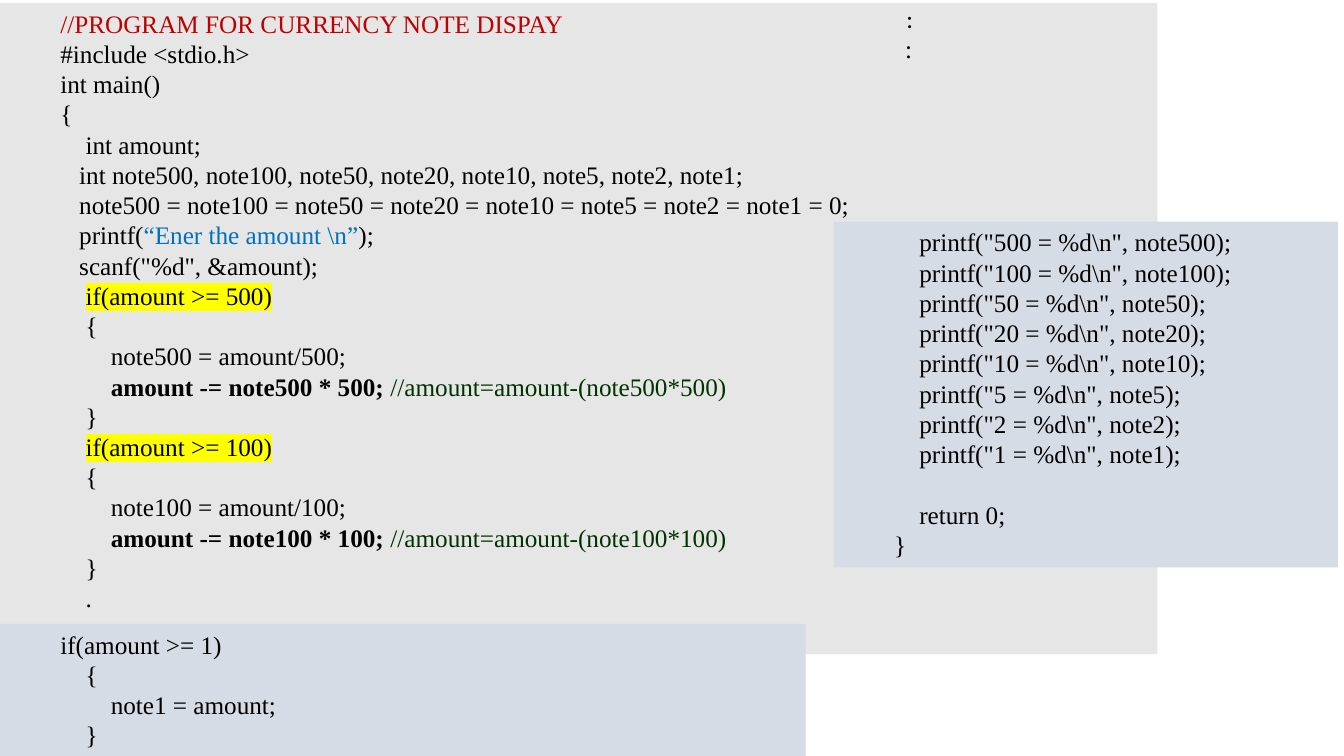
from lxml import etree
from pptx import Presentation
from pptx.dml.color import RGBColor
from pptx.enum import shapes, text
from pptx.oxml import ns
from pptx.util import Inches, Pt

SERIF = "Times New Roman"
BLACK, RED, BLUE, GREEN = "000000", "C00000", "0070C0", "003300"
YELLOW, GREY, PALE_BLUE = "FFFF00", "E7E6E6", "D6DCE5"
SPACE = 0.0625
NOTES = [500, 100, 50, 20, 10, 5, 2, 1]


def rgb(value):
    return RGBColor.from_string(value)


def highlight(r, color):
    mark = etree.SubElement(r.font._element, ns.qn("a:highlight"))
    etree.SubElement(mark, ns.qn("a:srgbClr"), val=color)


def add_line(p, spaces, runs, font=SERIF, gap=0):
    p.font.name, p.font.size = font, Pt(18)
    p.font.color.rgb = rgb(BLACK)
    p.alignment = text.PP_ALIGN.LEFT
    p.line_spacing = Pt(21.6)
    p.space_before = Pt(gap)
    p._p.get_or_add_pPr().set("marL", str(Inches(0.5 + spaces * SPACE)))
    for content, style in runs:
        r = p.add_run()
        r.text = content
        if "color" in style:
            r.font.color.rgb = rgb(style["color"])
        if "bold" in style:
            r.font.bold = True
        if "mark" in style:
            highlight(r, style["mark"])


def fill_text(s, lines):
    tf = s.text_frame
    tf.word_wrap = True
    tf.vertical_anchor = text.MSO_ANCHOR.TOP
    for i, line in enumerate(lines):
        add_line(tf.paragraphs[0] if i == 0 else tf.add_paragraph(), **line)


def code(spaces, content, **style):
    return {"spaces": spaces, "runs": [(content, style)]}


def code_panel(sp, box, color, lines):
    s = sp.add_shape(shapes.MSO_SHAPE.RECTANGLE, *map(Inches, box))
    s.shadow.inherit = False
    s.fill.solid()
    s.fill.fore_color.rgb = rgb(color)
    s.line.fill.background()
    fill_text(s, lines)


def note_block(note):
    return [
        code(4, f"if(amount >= {note})", mark=YELLOW),
        code(4, "{"),
        code(8, f"note{note} = amount/{note};"),
        {"spaces": 8, "runs": [
            (f"amount -= note{note} * {note}; ", {"bold": True}),
            (f"//amount=amount-(note{note}*{note})", {"color": GREEN})]},
        code(4, "}"),
    ]


def main_program(sp, box):
    names = [f"note{n}" for n in NOTES]
    lines = [
        code(0, "//PROGRAM FOR CURRENCY NOTE DISPAY", color=RED),
        code(0, "#include <stdio.h>"),
        code(0, "int main()"),
        code(0, "{"),
        code(4, "int amount;"),
        code(3, f"int {', '.join(names)};"),
        code(3, f"{' = '.join(names)} = 0;"),
        {"spaces": 3, "runs": [("printf(", {}),
                               ("“Ener the amount \\n”", {"color": BLUE}),
                               (");", {})]},
        code(3, 'scanf("%d", &amount);'),
        *note_block(500),
        *note_block(100),
        code(4, "."),
    ]
    code_panel(sp, box, GREY, lines)


def continuation_dots(sp, box):
    s = sp.add_textbox(*map(Inches, box))
    fill_text(s, [code(7.2, ":") | {"font": "Calibri"}, code(7, ":")])


def output_block(sp, box):
    lines = [code(4, f'printf("{n} = %d\\n", note{n});') for n in NOTES]
    lines += [code(4, "return 0;") | {"gap": 21.6}, code(0, "}")]
    code_panel(sp, box, PALE_BLUE, lines)


def last_note(sp, box):
    code_panel(sp, box, PALE_BLUE, [
        code(0, "if(amount >= 1)"),
        code(4, "{"),
        code(8, "note1 = amount;"),
        code(4, "}"),
    ])


def currency_slide(prs):
    sp = prs.slides.add_slide(prs.slide_layouts[6]).shapes
    main_program(sp, (0, 0.03, 11.48, 6.46))
    continuation_dots(sp, (7.94, -0.02, 5.39, 1.01))
    output_block(sp, (8.27, 2.2, 5, 3.43))
    last_note(sp, (0, 6.19, 7.99, 1.31))


prs = Presentation()
prs.slide_width, prs.slide_height = Inches(13.33), Inches(7.5)
currency_slide(prs)
prs.save("out.pptx")
